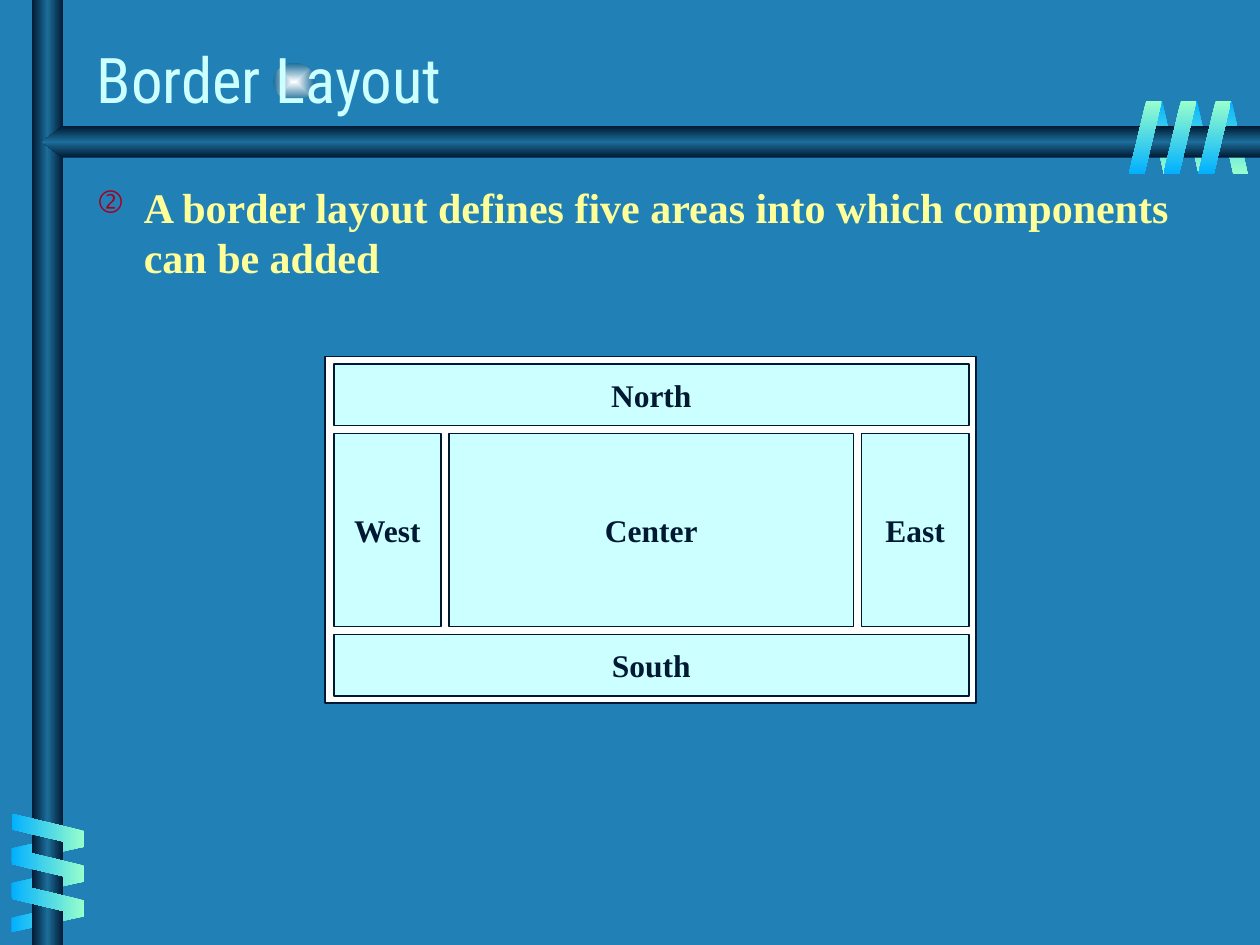
from lxml import etree
from pptx import Presentation
from pptx.dml.color import RGBColor
from pptx.enum.shapes import MSO_SHAPE
from pptx.enum.text import MSO_ANCHOR, PP_ALIGN
from pptx.oxml import parse_xml
from pptx.oxml.ns import nsdecls, qn
from pptx.util import Cm, Pt

RECTANGLE = MSO_SHAPE.RECTANGLE
ELLIPSE = MSO_SHAPE.OVAL
PARALLELOGRAM = MSO_SHAPE.PARALLELOGRAM
MIDDLE, BOTTOM, TOP = MSO_ANCHOR.MIDDLE, MSO_ANCHOR.BOTTOM, MSO_ANCHOR.TOP
CENTER, LEFT = PP_ALIGN.CENTER, PP_ALIGN.LEFT

NAVY, BLUE, PALE, WHITE = "001932", "1C6D9A", "CCFFFF", "FFFFFF"
SKY, MINT = "01B0FF", "99FFCC"
BAR_STOPS = [(0, NAVY), (50, BLUE), (100, NAVY)]
SERIF, CONDENSED = "Times New Roman", "Roboto Condensed"


def color(hex_code):
    return RGBColor.from_string(hex_code)


class SlideBuilder:
    """Draws elements on the current slide; all lengths are in centimetres."""

    def __init__(self, slide):
        self.slide = slide
        self.shapes = slide.shapes

    def background(self, hex_code):
        fill = self.slide.background.fill
        fill.solid()
        fill.fore_color.rgb = color(hex_code)

    def gradient(self, shape, stops, angle=None):
        """Fill with a linear gradient, or from the centre if no angle is given."""
        if angle is None:
            direction = ('<a:path path="rect"><a:fillToRect l="50000" t="50000" '
                         'r="50000" b="50000"/></a:path>')
        else:
            direction = f'<a:lin ang="{angle * 60000}" scaled="0"/>'
        stop_list = "".join(
            f'<a:gs pos="{position * 1000}"><a:srgbClr val="{hex_code}"/></a:gs>'
            for position, hex_code in stops)
        shape.fill.background()
        no_fill = shape._element.spPr.find(qn("a:noFill"))
        no_fill.getparent().replace(no_fill, parse_xml(
            f'<a:gradFill {nsdecls("a")} rotWithShape="0">'
            f'<a:gsLst>{stop_list}</a:gsLst>{direction}</a:gradFill>'))
        shape.line.fill.background()
        shape.shadow.inherit = False

    def gradient_shape(self, kind, box, stops, angle=None):
        shape = self.shapes.add_shape(kind, *map(Cm, box))
        self.gradient(shape, stops, angle)
        return shape

    def gradient_outline(self, points, stops, angle):
        corners = [(Cm(x), Cm(y)) for x, y in points]
        builder = self.shapes.build_freeform(*corners[0])
        builder.add_line_segments(corners[1:], close=True)
        self.gradient(builder.convert_to_shape(), stops, angle)

    def coil(self, box, step, stops, angle, rotation=0, flip=False):
        """Repeat a slanted band three times, moved by step each time."""
        left, top, width, height = box
        for i in range(3):
            band = self.gradient_shape(
                PARALLELOGRAM,
                (left + i * step[0], top + i * step[1], width, height), stops, angle)
            band.adjustments[0] = 0.53
            band.rotation = rotation
            if flip:
                band._element.spPr.xfrm.set("flipH", "1")

    def fill_text(self, frame, text, size, font, hex_code, bold, anchor, align):
        frame.vertical_anchor = anchor
        paragraph = frame.paragraphs[0]
        paragraph.text = text
        paragraph.alignment = align
        paragraph.font.size = Pt(size)
        paragraph.font.name = font
        paragraph.font.bold = bold
        paragraph.font.color.rgb = color(hex_code)
        return paragraph

    def text(self, box, text, size, font, hex_code, bold=False, anchor=TOP):
        frame = self.shapes.add_textbox(*map(Cm, box)).text_frame
        frame.word_wrap = True
        return self.fill_text(frame, text, size, font, hex_code, bold, anchor, LEFT)

    def bullet(self, paragraph, character, hex_code, percent, indent):
        properties = paragraph._p.get_or_add_pPr()
        properties.set("marL", str(Cm(indent)))
        properties.set("indent", str(-Cm(indent)))
        bullet_color = etree.SubElement(properties, qn("a:buClr"))
        etree.SubElement(bullet_color, qn("a:srgbClr"), val=hex_code)
        etree.SubElement(properties, qn("a:buSzPct"), val=str(percent * 1000))
        etree.SubElement(properties, qn("a:buChar"), char=character)
        # The schema wants the run defaults after the bullet settings.
        properties.append(properties.find(qn("a:defRPr")))

    def panel(self, box, fill, label=""):
        panel = self.shapes.add_shape(RECTANGLE, *map(Cm, box))
        panel.shadow.inherit = False
        panel.fill.solid()
        panel.fill.fore_color.rgb = color(fill)
        panel.line.color.rgb = color(NAVY)
        panel.line.width = Pt(1)
        if label:
            panel.text_frame.word_wrap = False
            self.fill_text(panel.text_frame, label, 18, SERIF, NAVY, True, MIDDLE, CENTER)


def draw_decoration(page):
    page.gradient_shape(ELLIPSE, (5.51, 1.27, 0.84, 0.76), [(0, "FEFFFF"), (100, BLUE)])
    back, front = [(0, SKY), (100, MINT)], [(0, MINT), (100, SKY)]
    across, down = (0.7, 0), (0, 0.7)
    page.coil((23.14, 2.03, 0.61, 1.47), across, back, 90, rotation=180, flip=True)
    page.coil((0.66, 16.35, 0.61, 1.47), down, back, 180, rotation=90, flip=True)
    page.gradient_shape(RECTANGLE, (0.64, 0, 0.64, 19.05), BAR_STOPS, 180)
    page.gradient_outline(
        [(25.4, 2.54), (1.27, 2.54), (0.84, 2.86), (1.27, 3.18), (25.4, 3.18)],
        BAR_STOPS, 90)
    page.coil((0.64, 16, 0.66, 1.47), down, front, 180, rotation=270)
    page.coil((22.76, 2.03, 0.66, 1.47), across, front, 90)


def draw_border_layout(page):
    left, top, width, gap = 6.73, 7.34, 12.8, 0.16
    edge_height, middle_height, side_width = 1.24, 3.89, 2.16
    middle_top = top + edge_height + gap
    south_top = middle_top + middle_height + gap
    center_left = left + side_width + gap
    center_width = width - 2 * (side_width + gap)
    east_left = center_left + center_width + gap

    page.panel((6.55, 7.19, 13.13, 6.99), WHITE)
    areas = {
        "North": (left, top, width, edge_height),
        "South": (left, south_top, width, edge_height),
        "Center": (center_left, middle_top, center_width, middle_height),
        "East": (east_left, middle_top, side_width, middle_height),
        "West": (left, middle_top, side_width, middle_height),
    }
    for name, box in areas.items():
        page.panel(box, PALE, name)


def main():
    presentation = Presentation()
    presentation.slide_width, presentation.slide_height = Cm(25.4), Cm(19.05)
    page = SlideBuilder(presentation.slides.add_slide(presentation.slide_layouts[6]))
    page.background("2181B7")
    draw_decoration(page)
    page.text((1.7, 0.56, 21.08, 1.9), "Border Layout", 36, CONDENSED, PALE, anchor=BOTTOM)
    definition = page.text(
        (1.7, 3.53, 23.06, 13.61),
        "A border layout defines five areas into which components can be added",
        24, SERIF, "FFFF99", bold=True)
    definition.space_before = Pt(6)
    page.bullet(definition, "②", "A50021", 75, 0.95)
    draw_border_layout(page)
    presentation.save("out.pptx")


if __name__ == "__main__":
    main()
